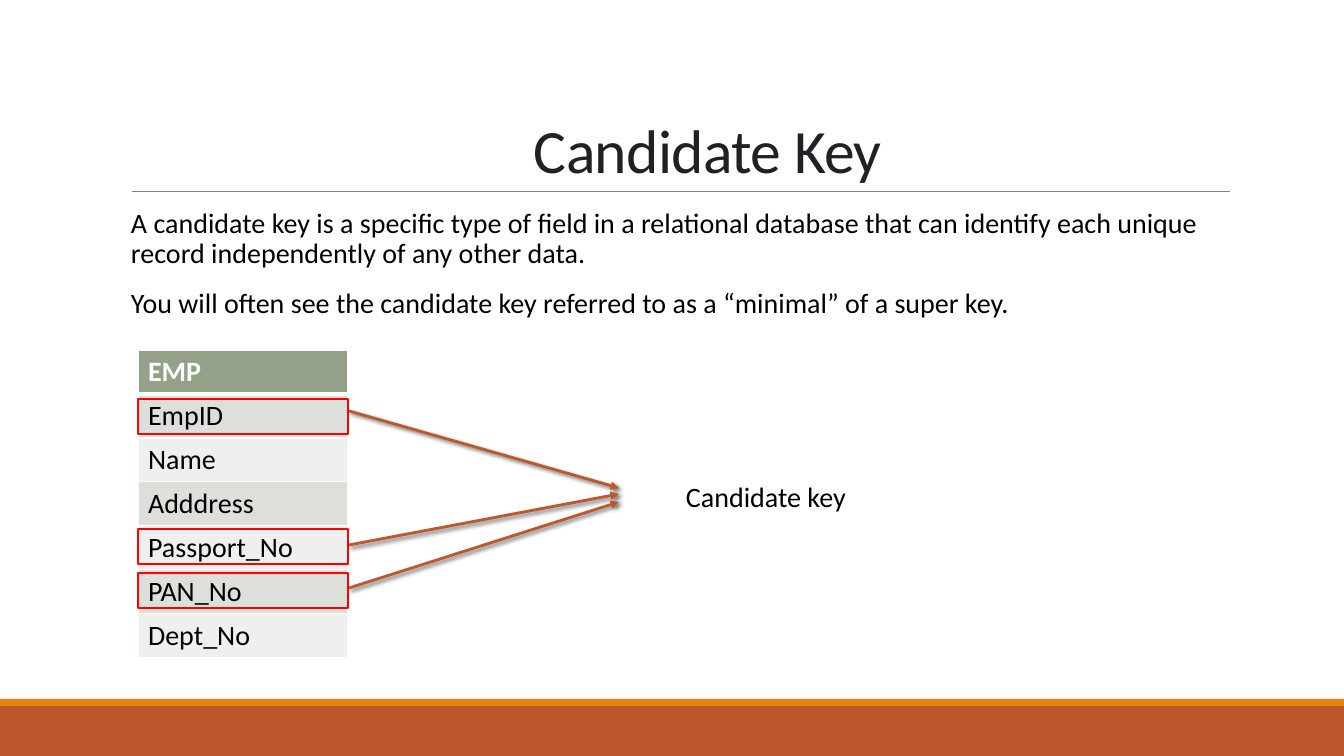
from lxml.etree import SubElement
from pptx import Presentation
from pptx.dml.color import RGBColor
from pptx.enum.shapes import MSO_CONNECTOR, MSO_SHAPE
from pptx.enum.text import MSO_ANCHOR, MSO_AUTO_SIZE, PP_ALIGN
from pptx.oxml.ns import qn
from pptx.util import Emu, Pt

EMU_PER_PX = 914400 / 100.8
FIELDS = ["EMP", "EmpID", "Name", "Adddress", "Passport_No", "PAN_No", "Dept_No"]
TABLE_LEFT, TABLE_TOP, TABLE_WIDTH, ROW_HEIGHT = 138, 350, 210, 44
DEFINITIONS = [
    "A candidate key is a specific type of field in a relational database that can "
    "identify each unique record independently of any other data.",
    "You will often see the candidate key referred to as a “minimal” of a super key.",
]


def px(length):
    return Emu(round(length * EMU_PER_PX))


def color(value):
    return RGBColor.from_string(value)


def apply_format(target, values):
    for name, value in values.items():
        setattr(target, name, value)


def add_child(parent, tag, **attributes):
    return SubElement(parent, qn(tag), {key: str(value) for key, value in attributes.items()})


def place(shape, left, top, width, height):
    apply_format(shape, {"left": px(left), "top": px(top), "width": px(width), "height": px(height)})


def write(para, text, size=20, ink="000000", bold=False):
    span = para.add_run()
    span.text = text
    apply_format(span.font, {"name": "Calibri", "size": Pt(size), "bold": bold})
    span.font.color.rgb = color(ink)
    return span


def fill_title(title, text):
    place(title, 121, 31, 1109, 160)
    apply_format(title.text_frame, {
        "margin_left": px(413), "vertical_anchor": MSO_ANCHOR.BOTTOM,
        "auto_size": MSO_AUTO_SIZE.NONE, "word_wrap": True,
    })
    para = title.text_frame.paragraphs[0]
    apply_format(para, {"alignment": PP_ALIGN.LEFT, "line_spacing": 0.85})
    span = write(para, text, 44, "202124")
    span.font._element.set("spc", "-50")


def fill_body(body, texts):
    place(body, 121, 204, 1109, 443)
    frame = body.text_frame
    apply_format(frame, {
        "margin_left": 0, "margin_right": 0, "margin_top": px(5), "margin_bottom": px(5),
        "auto_size": MSO_AUTO_SIZE.NONE, "word_wrap": True,
    })
    for index, text in enumerate(texts):
        para = frame.add_paragraph() if index else frame.paragraphs[0]
        apply_format(para, {"line_spacing": 0.9, "space_before": Pt(12), "space_after": Pt(2)})
        properties = para._p.get_or_add_pPr()
        properties.set("marL", str(px(10)))
        properties.set("indent", "0")
        add_child(properties, "a:buNone")
        write(para, text)


def add_label(page, text, left, top, width, height):
    box = page.shapes.add_textbox(px(left), px(top), px(width), px(height))
    apply_format(box.text_frame, {
        "margin_left": 0, "margin_right": 0, "word_wrap": True,
        "vertical_anchor": MSO_ANCHOR.MIDDLE,
    })
    write(box.text_frame.paragraphs[0], text)


def add_rectangle(page, left, top, width, height, fill=None, outline=None):
    box = page.shapes.add_shape(MSO_SHAPE.RECTANGLE, px(left), px(top), px(width), px(height))
    box.shadow.inherit = False
    if fill:
        box.fill.solid()
        box.fill.fore_color.rgb = color(fill)
    else:
        box.fill.background()
    if outline:
        box.line.color.rgb = color(outline)
        box.line.width = Pt(1.25)
    else:
        box.line.fill.background()


def add_line(page, start, end, ink, width):
    line = page.shapes.add_connector(MSO_CONNECTOR.STRAIGHT, *map(px, start + end))
    line.line.color.rgb = color(ink)
    line.line.width = Pt(width)
    effects = add_child(line._element.spPr, "a:effectLst")
    return line, effects


def add_arrow(page, start, end):
    arrow, effects = add_line(page, start, end, "BD582C", 2)
    add_child(arrow._element.spPr.find(qn("a:ln")), "a:tailEnd", type="triangle")
    shadow = add_child(effects, "a:outerShdw", blurRad=Pt(3), dist=Pt(2), dir=45 * 60000)
    ink = add_child(shadow, "a:srgbClr", val="000000")
    add_child(ink, "a:alpha", val=60000)


def set_borders(cell, bottom_width):
    properties = cell._tc.get_or_add_tcPr()
    widths = {"a:lnL": 1, "a:lnR": 1, "a:lnT": 1, "a:lnB": bottom_width}
    for position, (tag, width) in enumerate(widths.items()):
        border = add_child(properties, tag, w=Pt(width))
        add_child(add_child(border, "a:solidFill"), "a:srgbClr", val="FFFFFF")
        properties.insert(position, border)


def add_field_table(page):
    frame = page.shapes.add_table(
        len(FIELDS), 1, px(TABLE_LEFT), px(TABLE_TOP),
        px(TABLE_WIDTH), px(ROW_HEIGHT * len(FIELDS)))
    for index, field in enumerate(FIELDS):
        header = index == 0
        cell = frame.table.cell(index, 0)
        fill = "94A088" if header else "DCDFDA" if index % 2 else "EEF0ED"
        cell.fill.solid()
        cell.fill.fore_color.rgb = color(fill)
        set_borders(cell, 3 if header else 1)
        write(cell.text_frame.paragraphs[0], field, ink="FFFFFF" if header else "000000", bold=header)


def main():
    deck = Presentation()
    apply_format(deck, {"slide_width": px(1344), "slide_height": px(756)})
    page = deck.slides.add_slide(deck.slide_layouts[1])
    add_rectangle(page, 0, 706, 1344, 50, fill="BD582C")
    add_rectangle(page, 0, 699, 1344, 7, fill="E48312")
    add_line(page, (132, 191), (1230, 191), "808080", 0.5)
    fill_title(page.shapes.title, "Candidate Key")
    fill_body(page.placeholders[1], DEFINITIONS)
    add_label(page, "Candidate key", 686, 476, 200, 40)
    add_field_table(page)
    for start_y, end_y in [(411, 488), (545, 494), (588, 502)]:
        add_arrow(page, (349, start_y), (619, end_y))
    for top in [399, 529, 573]:
        add_rectangle(page, TABLE_LEFT, top, TABLE_WIDTH, 35, outline="FF0000")
    deck.save("out.pptx")


if __name__ == "__main__":
    main()
